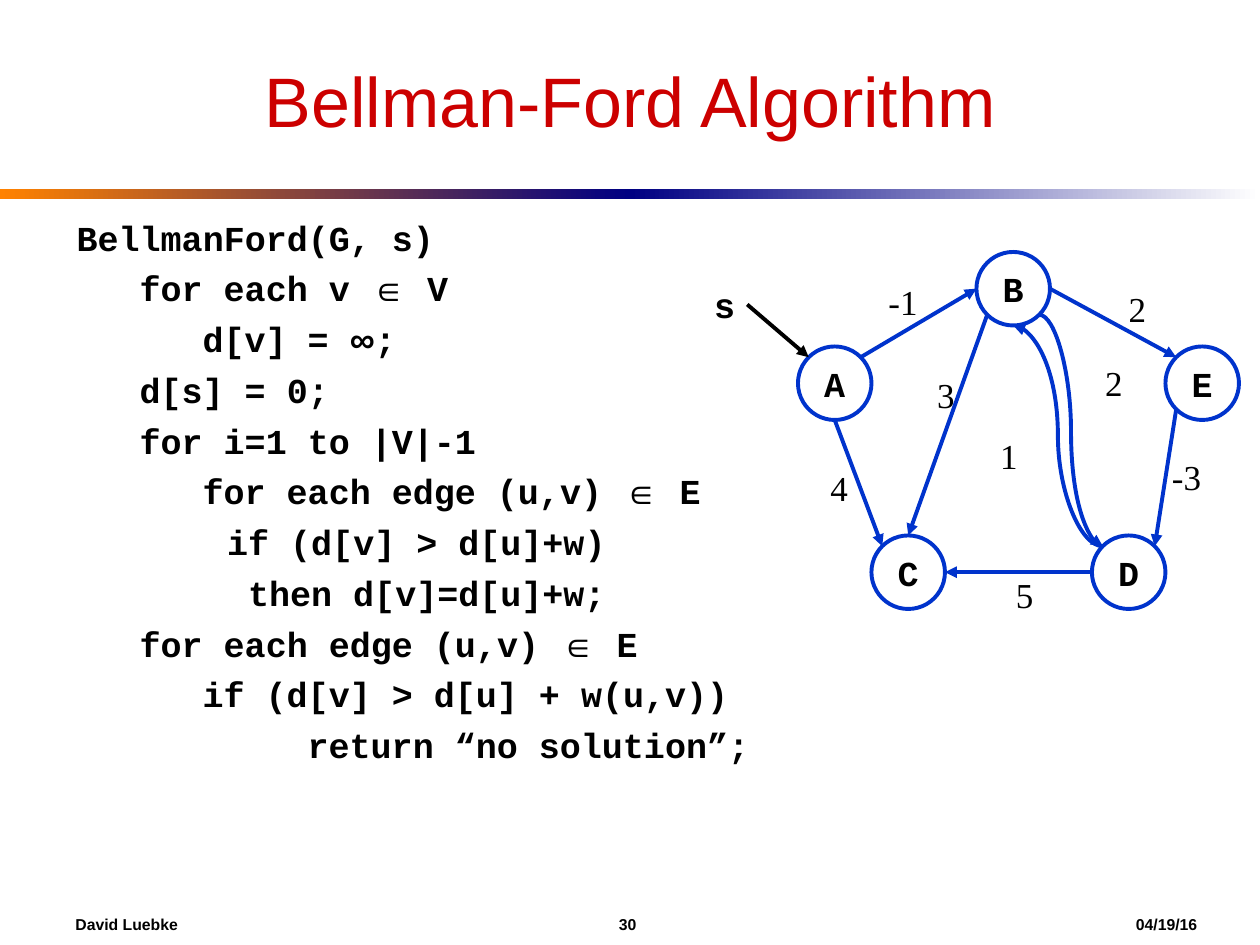
import dataclasses
import math
import lxml.etree
import pptx
import pptx.dml.color
import pptx.enum.shapes
import pptx.enum.text
import pptx.oxml.ns
import pptx.util

Pt = pptx.util.Pt
RGB = pptx.dml.color.RGBColor.from_string
Kind = pptx.enum.shapes.MSO_SHAPE
Link = pptx.enum.shapes.MSO_CONNECTOR
Align = pptx.enum.text.PP_ALIGN
Anchor = pptx.enum.text.MSO_ANCHOR
qn = pptx.oxml.ns.qn


@dataclasses.dataclass(frozen=True)
class Theme:
    """Colours, fonts and sizes of the slide."""
    ink: str = "000000"
    paper: str = "FFFFFF"
    red: str = "CC0000"
    blue: str = "0033CC"
    navy: str = "000082"
    orange: str = "FF8200"
    sans: str = "Arial"
    serif: str = "Times New Roman"
    mono: str = "Courier New"
    head: float = 40
    body: float = 20
    foot: float = 9
    line: float = 2.25


T = Theme()
SIZE = 42
NODES = {"B": (558, 144), "E": (666, 198), "D": (624, 306),
         "C": (498, 306), "A": (456, 198)}
SIDES = {"e": 0, "se": 45, "s": 90, "sw": 135, "w": 180, "nw": 225, "n": 270, "ne": 315}
EDGES = [("A", "ne", "B", "w"), ("B", "e", "E", "nw"), ("E", "sw", "D", "ne"),
         ("D", "w", "C", "e"), ("A", "s", "C", "nw"), ("B", "sw", "C", "n")]
CURVES = [("D", "nw", "B", "s"), ("B", "se", "D", "nw")]
COSTS = [("-1", 516, 157), ("2", 650, 160.5), ("2", 636.5, 203), ("1", 576.5, 245),
         ("-3", 678, 257), ("5", 585.5, 324), ("3", 540.5, 210), ("4", 479.5, 263)]
CODE = [
    (0, ["BellmanFord(G, s)"]),
    (36, ["for each v ", "∈", " V"]),
    (72, ["d[v] = ", "∞", ";"]),
    (36, ["d[s] = 0;"]),
    (36, ["for i=1 to |V|-1"]),
    (72, ["for each edge (u,v) ", "∈", " E"]),
    (86, ["if (d[v] > d[u]+w)"]),
    (98, ["then d[v]=d[u]+w;"]),
    (36, ["for each edge (u,v) ", "∈", " E"]),
    (72, ["if (d[v] > d[u] + w(u,v))"]),
    (132, ["return “no solution”;"]),
]


def write(para, text, face, size, hue=T.ink, bold=False):
    """Add one run to a paragraph."""
    run = para.add_run()
    run.text = text
    run.font.name, run.font.size, run.font.bold = face, Pt(size), bold
    run.font.color.rgb = RGB(hue)


def box(slide, left, top, width, height, wrap=True, anchor=Anchor.TOP):
    """Add an empty text box and return its frame."""
    frame = slide.shapes.add_textbox(Pt(left), Pt(top), Pt(width), Pt(height)).text_frame
    frame.word_wrap, frame.vertical_anchor = wrap, anchor
    return frame


def label(slide, text, mid, top, face, bold=False):
    """Centre a short label on a given x."""
    width = 15 + 12 * len(text)
    para = box(slide, mid - width / 2, top, width, 31.5, False).paragraphs[0]
    para.alignment = Align.CENTER
    write(para, text, face, T.body, bold=bold)


def band(slide, left, start, end):
    """Add half of the rule below the title."""
    shape = slide.shapes.add_shape(Kind.RECTANGLE, Pt(left), Pt(108), Pt(360), Pt(6))
    shape.shadow.inherit = False
    shape.line.fill.background()
    shape.fill.gradient()
    shape.fill.gradient_angle = 0
    for stop, hue in zip(shape.fill.gradient_stops, (start, end)):
        stop.color.rgb = RGB(hue)


def node(slide, name):
    """Add a graph node."""
    left, top = NODES[name]
    shape = slide.shapes.add_shape(Kind.OVAL, Pt(left), Pt(top), Pt(SIZE), Pt(SIZE))
    shape.shadow.inherit = False
    shape.fill.solid()
    shape.fill.fore_color.rgb = RGB(T.paper)
    shape.line.color.rgb, shape.line.width = RGB(T.blue), Pt(T.line)
    frame = shape.text_frame
    frame.word_wrap, frame.vertical_anchor = False, Anchor.MIDDLE
    frame.paragraphs[0].alignment = Align.CENTER
    write(frame.paragraphs[0], name, T.mono, T.body, bold=True)


def rim(name, side):
    """Return the point of a node's rim at a compass side."""
    turn = math.radians(SIDES[side])
    left, top = NODES[name]
    half = SIZE / 2
    return left + half + half * math.cos(turn), top + half + half * math.sin(turn)


def arrow(slide, start, end, hue=T.blue, kind=Link.STRAIGHT):
    """Draw an arrow from start to end."""
    link = slide.shapes.add_connector(kind, *(Pt(v) for v in (*start, *end)))
    link.line.color.rgb, link.line.width = RGB(hue), Pt(T.line)
    props = link._element.spPr
    lxml.etree.SubElement(props.find(qn("a:ln")), qn("a:tailEnd"), type="triangle")
    lxml.etree.SubElement(props, qn("a:effectLst"))


def code(slide):
    """Write the pseudocode."""
    frame = box(slide, 36.75, 120, 648, 342)
    for row, (indent, parts) in enumerate(CODE):
        para = frame.add_paragraph() if row else frame.paragraphs[0]
        para.space_before = Pt(5)
        para._p.get_or_add_pPr().set("marL", str(Pt(indent)))
        for part in parts:
            face = T.sans if part in "∈∞" else T.mono
            write(para, part, face, T.body, bold=True)


def footer(slide):
    """Write author, number and date on tab stops."""
    para = box(slide, 36, 516, 660, 24, anchor=Anchor.MIDDLE).paragraphs[0]
    tabs = lxml.etree.SubElement(para._p.get_or_add_pPr(), qn("a:tabLst"))
    for stop in (310.5, 606):
        lxml.etree.SubElement(tabs, qn("a:tab"), pos=str(Pt(stop)), algn="l")
    write(para, "David Luebke\t30\t04/19/16", T.sans, T.foot, bold=True)


def main():
    """Build and save the slide."""
    deck = pptx.Presentation()
    deck.slide_width, deck.slide_height = Pt(720), Pt(540)
    slide = deck.slides.add_slide(deck.slide_layouts[6])
    band(slide, 0, T.orange, T.navy)
    band(slide, 360, T.navy, T.paper)
    footer(slide)
    title = box(slide, 36, 18, 648, 78, anchor=Anchor.MIDDLE).paragraphs[0]
    title.alignment = Align.CENTER
    write(title, "Bellman-Ford Algorithm", T.sans, T.head, T.red)
    for name in NODES:
        node(slide, name)
    for kind, group in ((Link.STRAIGHT, EDGES), (Link.CURVE, CURVES)):
        for tail, out, tip, into in group:
            arrow(slide, rim(tail, out), rim(tip, into), kind=kind)
    for text, mid, top in COSTS:
        label(slide, text, mid, top, T.serif)
    label(slide, "s", 414, 158.5, T.mono, True)
    arrow(slide, (427, 174), rim("A", "nw"), T.ink)
    code(slide)
    deck.save("out.pptx")


if __name__ == "__main__":
    main()
